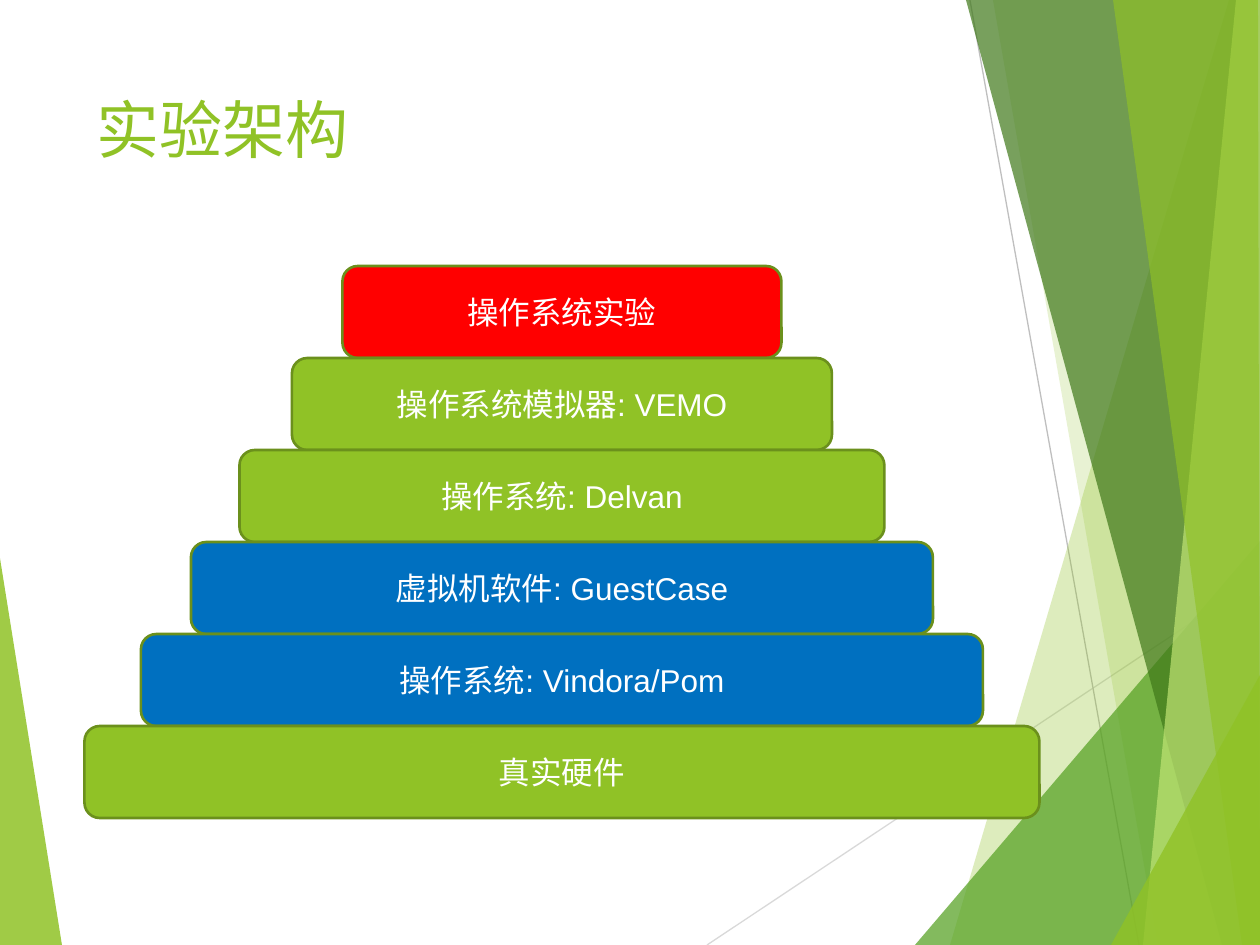
from lxml import etree
from pptx import Presentation
from pptx.dml.color import RGBColor
from pptx.enum.shapes import MSO_CONNECTOR, MSO_SHAPE
from pptx.enum.text import MSO_ANCHOR, PP_ALIGN
from pptx.oxml.ns import qn
from pptx.util import Pt

PX = 9144000 / 1260
W, H = 1260, 945
FONT = "Arial"
TITLE_ONLY = 5
COLORS = {
    "lime": "90C226", "green": "54A021", "forest": "3F7819", "pale": "C0E474",
    "blue": "0070C0", "red": "FF0000", "edge": "6B901C", "white": "FFFFFF",
    "light_gray": "D9D9D9", "gray": "BFBFBF",
}

TITLE = "实验架构"
# text, fill, width; top to bottom
LAYERS = [
    ("操作系统实验", "red", 439),
    ("操作系统模拟器: VEMO", "lime", 540),
    ("操作系统: Delvan", "lime", 645),
    ("虚拟机软件: GuestCase", "blue", 742),
    ("操作系统: Vindora/Pom", "blue", 842),
    ("真实硬件", "lime", 955),
]
CENTER, TOP, LAYER_H = 562, 266, 92

# corners, fill, opacity in percent; back to front
LEFT_WEDGE = ([(0, 558), (62, H), (0, H)], "lime", 85)
RAYS = [((707, H), (W, 577), "light_gray"), ((970, 0), (1139, H), "gray")]
FACETS = [
    ([(1229, 0), (950, H), (W, H), (W, 0)], "lime", 30),
    ([(993, 0), (1158, H), (W, H), (W, 0)], "lime", 20),
    ([(915, H), (W, 541), (W, H)], "green", 72),
    ([(966, 0), (1222, H), (W, H), (W, 0)], "forest", 70),
    ([(1236, 0), (1143, H), (W, H), (W, 0)], "pale", 70),
    ([(1113, 0), (1242, H), (W, H), (1258, 0)], "lime", 65),
    ([(1111, H), (W, 675), (W, H)], "lime", 80),
]


def emu(*lengths):
    return [round(n * PX) for n in lengths]


def rgb(name):
    return RGBColor.from_string(COLORS[name])


def add_run(p, text, size, color):
    r = p.add_run()
    r.text = text
    r.font.name = FONT
    r.font.size = Pt(size)
    r.font.color.rgb = rgb(color)


def add_facet(shapes, corners, color, opacity):
    builder = shapes.build_freeform(*corners[0], scale=PX)
    builder.add_line_segments(corners[1:], close=True)
    sp = builder.convert_to_shape()
    sp.shadow.inherit = False
    sp.fill.solid()
    sp.fill.fore_color.rgb = rgb(color)
    sp.line.fill.background()
    clr = sp.fill._xPr.find(qn("a:solidFill"))[0]
    etree.SubElement(clr, qn("a:alpha"), val=str(opacity * 1000))


def add_ray(shapes, start, end, color):
    line = shapes.add_connector(MSO_CONNECTOR.STRAIGHT, *emu(*start, *end))
    line.line.color.rgb = rgb(color)
    line.line.width = Pt(0.75)
    etree.SubElement(line._element.spPr, qn("a:effectLst"))


def add_layer(shapes, row, text, color, width):
    box = emu(CENTER - width / 2, TOP + row * LAYER_H, width, LAYER_H)
    sp = shapes.add_shape(MSO_SHAPE.ROUNDED_RECTANGLE, *box)
    sp.shadow.inherit = False
    sp.fill.solid()
    sp.fill.fore_color.rgb = rgb(color)
    sp.line.color.rgb = rgb("edge")
    sp.line.width = Pt(1.5)
    tf = sp.text_frame
    tf.vertical_anchor = MSO_ANCHOR.MIDDLE
    p = tf.paragraphs[0]
    p.alignment = PP_ALIGN.CENTER
    add_run(p, text, 18, "white")


def main():
    prs = Presentation()
    prs.slide_width, prs.slide_height = emu(W, H)
    slide = prs.slides.add_slide(prs.slide_layouts[TITLE_ONLY])
    shapes = slide.shapes

    add_facet(shapes, *LEFT_WEDGE)
    for ray in RAYS:
        add_ray(shapes, *ray)
    for facet in FACETS:
        add_facet(shapes, *facet)

    title = shapes.title
    title.left, title.top, title.width, title.height = emu(84, 84, 874, 182)
    tf = title.text_frame
    tf.vertical_anchor = MSO_ANCHOR.TOP
    p = tf.paragraphs[0]
    p.alignment = PP_ALIGN.LEFT
    add_run(p, TITLE, 36, "lime")

    for row, layer in enumerate(LAYERS):
        add_layer(shapes, row, *layer)

    prs.save("out.pptx")


if __name__ == "__main__":
    main()
